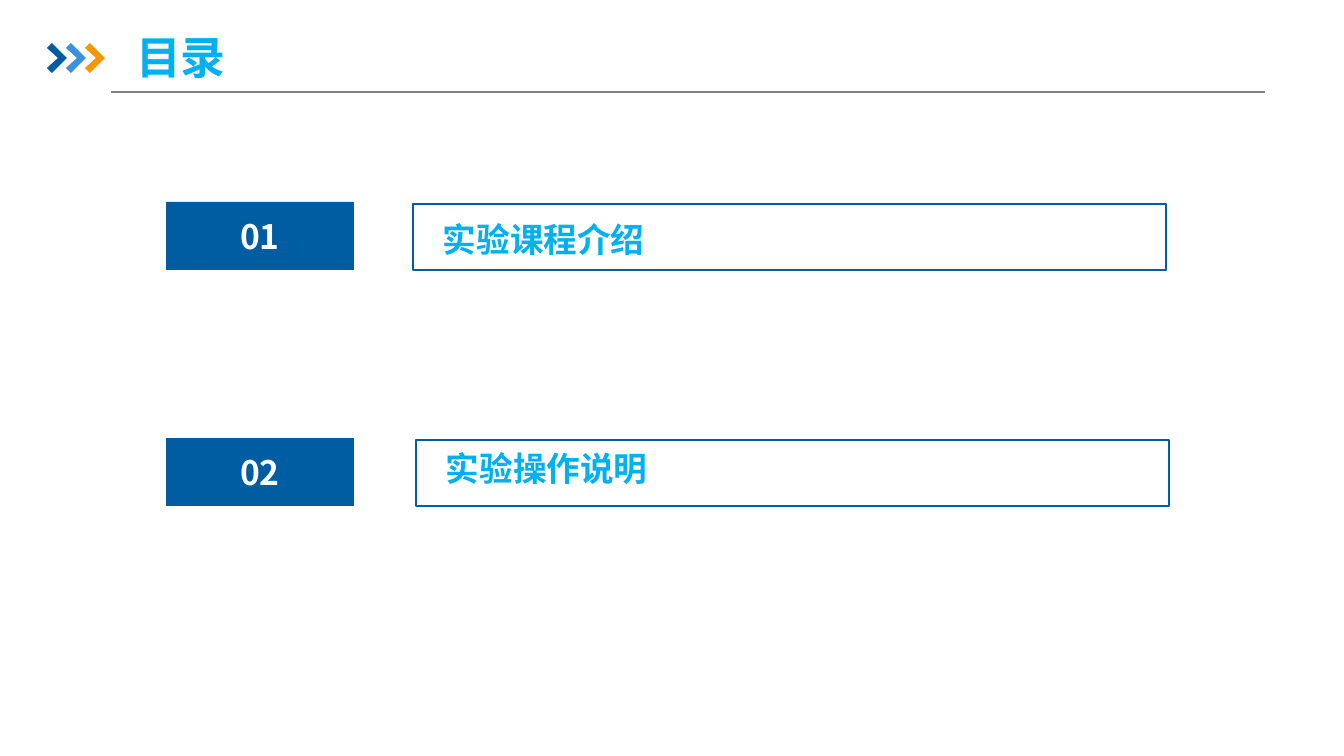
from lxml.etree import SubElement
from pptx import Presentation
from pptx.dml.color import RGBColor
from pptx.enum.shapes import MSO_CONNECTOR as Connector, MSO_SHAPE as Shape
from pptx.enum.text import MSO_ANCHOR as Anchor, MSO_AUTO_SIZE as AutoSize, PP_ALIGN as Align
from pptx.oxml.ns import qn
from pptx.util import Pt

EMU_PER_PX = 914400 / 100.8
FONT = "Noto Sans CJK SC"
NAVY, SKY, WHITE, GREY = "005DA2", "00B0F0", "FFFFFF", "808080"
CHEVRON_COLOURS = [NAVY, "3992DB", "F79600"]
CHEVRON_POINTS = [(0, 5), (5, 0), (20, 15), (5, 30), (0, 25), (11, 15)]
# number, heading, row top, frame offset from the badge, heading offset from the row top
CONTENTS = [
    ("01", "实验课程介绍", 202, 247, 12),
    ("02", "实验操作说明", 438, 250, 5),
]


def px(length):
    return round(length * EMU_PER_PX)


def box(*lengths):
    return [px(length) for length in lengths]


def colour(hex_code):
    return RGBColor.from_string(hex_code)


def paint(shape, fill=None, line=None):
    shape.shadow.inherit = False
    if fill:
        shape.fill.solid()
        shape.fill.fore_color.rgb = colour(fill)
    else:
        shape.fill.background()
    if line:
        shape.line.color.rgb = colour(line)
        shape.line.width = Pt(1.25)
    else:
        shape.line.fill.background()


def write(frame, text, size, hex_code, align=Align.LEFT):
    frame.word_wrap = True
    paragraph = frame.paragraphs[0]
    paragraph.text = text
    paragraph.alignment = align
    font = paragraph.font
    font.size, font.bold, font.name = Pt(size), True, FONT
    font.color.rgb = colour(hex_code)
    # East Asian glyphs take their typeface from a:ea
    properties = paragraph._p.pPr.find(qn("a:defRPr"))
    SubElement(properties, qn("a:ea")).set("typeface", FONT)


def add_label(slide, bounds, text, hex_code, align=Align.LEFT):
    frame = slide.shapes.add_textbox(*box(*bounds)).text_frame
    write(frame, text, 24, hex_code, align)
    frame.auto_size = AutoSize.SHAPE_TO_FIT_TEXT


def add_header(slide, left, top, width, text):
    rule_y = top + 63
    rule = slide.shapes.add_connector(
        Connector.STRAIGHT, *box(left + 64, rule_y, left + width, rule_y))
    rule.line.color.rgb = colour(GREY)
    rule.line.width = Pt(0.75)
    SubElement(rule._element.spPr, qn("a:effectLst"))

    for index, hex_code in enumerate(CHEVRON_COLOURS):
        points = [box(left + 19 * index + x, top + 14 + y) for x, y in CHEVRON_POINTS]
        builder = slide.shapes.build_freeform(*points[0])
        builder.add_line_segments(points[1:])
        paint(builder.convert_to_shape(), fill=hex_code)

    title = slide.shapes.title
    title.left, title.top, title.width, title.height = box(left + 79, top, 556, 55)
    frame = title.text_frame
    frame.vertical_anchor = Anchor.MIDDLE
    frame.auto_size = AutoSize.NONE
    write(frame, text, 32, SKY)


def add_contents_row(slide, left, top, number, heading, frame_dx, heading_dy):
    badge = slide.shapes.add_shape(Shape.RECTANGLE, *box(left, top, 188, 68))
    paint(badge, fill=NAVY)
    add_label(slide, (left + 5, top + 9, 178, 50), number, WHITE, Align.CENTER)

    frame_left = left + frame_dx
    add_label(slide, (frame_left + 20, top + heading_dy, 677, 50), heading, SKY)
    outline = slide.shapes.add_shape(Shape.RECTANGLE, *box(frame_left, top + 2, 753, 66))
    paint(outline, line=NAVY)


def main():
    deck = Presentation()
    deck.slide_width, deck.slide_height = box(1344, 756)
    slide = deck.slides.add_slide(deck.slide_layouts.get_by_name("Title Only"))
    add_header(slide, 47, 29, 1218, "目录")
    for number, heading, top, frame_dx, heading_dy in CONTENTS:
        add_contents_row(slide, 166, top, number, heading, frame_dx, heading_dy)
    deck.save("out.pptx")


if __name__ == "__main__":
    main()
